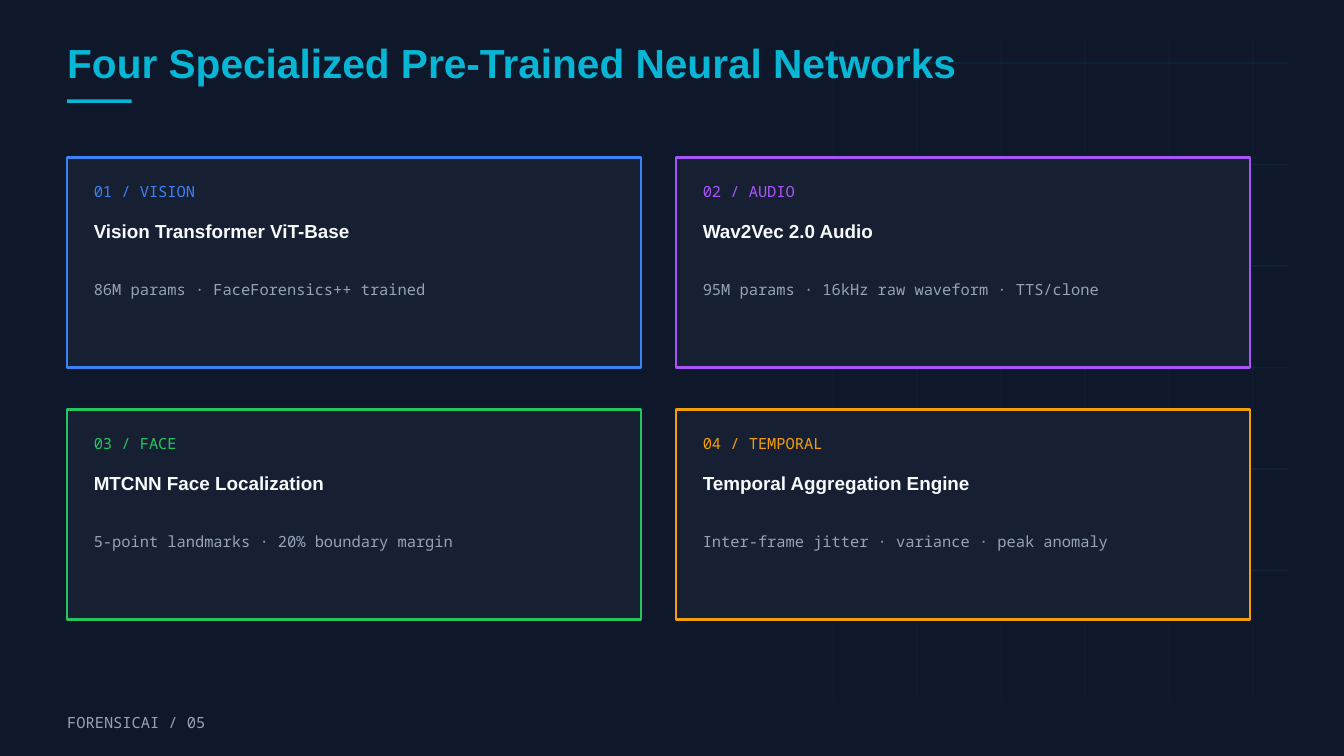
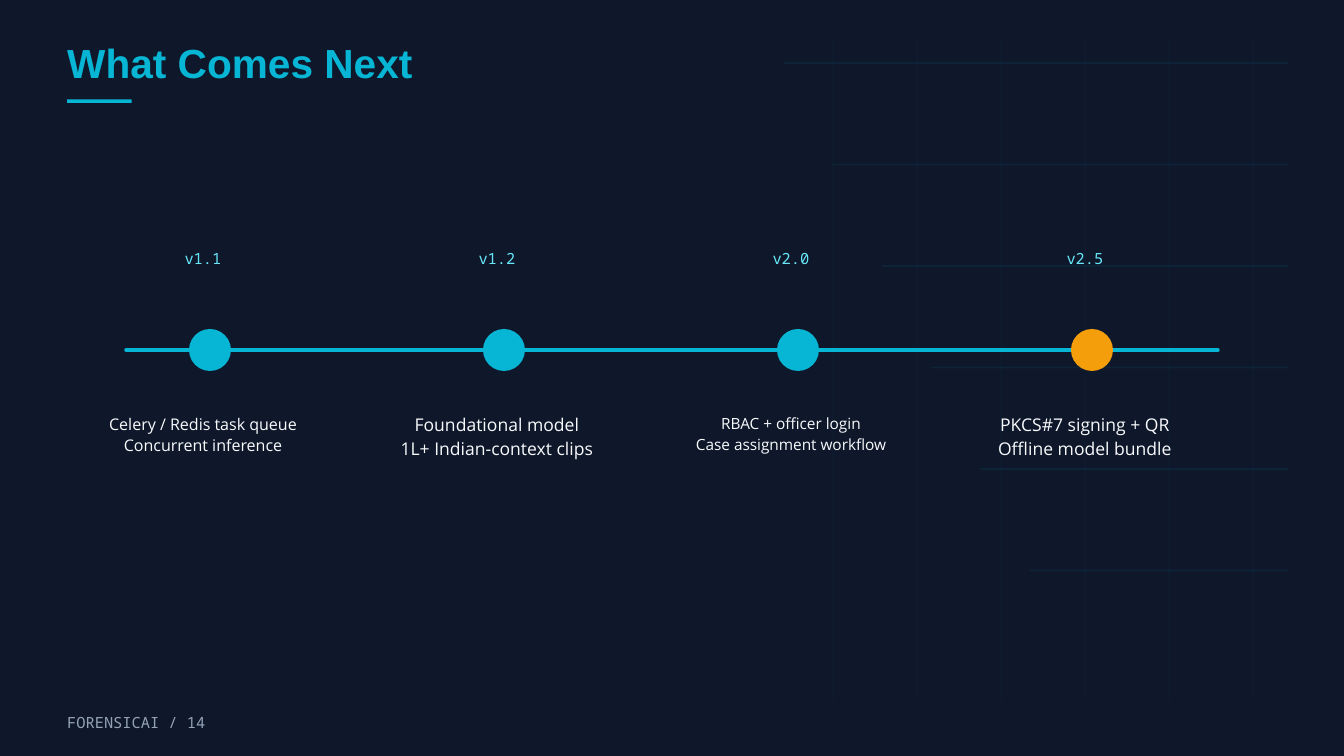
"""Build two dark slides: a grid of model cards and a release timeline."""
from dataclasses import dataclass

from lxml import etree
from pptx import Presentation
from pptx.dml.color import RGBColor as RGB
from pptx.enum.shapes import MSO_CONNECTOR as CONN, MSO_SHAPE as SHAPE
from pptx.enum.text import MSO_ANCHOR as ANCHOR, MSO_AUTO_SIZE as AUTO, PP_ALIGN as ALIGN
from pptx.oxml.ns import qn
from pptx.util import Pt

PX = 9525


@dataclass(frozen=True)
class Theme:
    back: str = "0F172A"
    card: str = "172033"
    cyan: str = "06B6D4"
    pale_cyan: str = "67E8F9"
    blue: str = "3B82F6"
    purple: str = "A855F7"
    green: str = "22C55E"
    amber: str = "F59E0B"
    white: str = "F8FAFC"
    gray: str = "94A3B8"
    head: str = "Arial"
    mono: str = "Noto Sans Mono"
    body: str = "Open Sans"
    title: tuple = (43.5, 47)
    name: tuple = (20.2, 23.3)
    large: tuple = (18.8, 25.3)
    medium: tuple = (17.2, 23.3)
    small: tuple = (16.5, 22.3)


T = Theme()


def write(sp, text, at, font=T.mono, size=T.small, color=T.gray, bold=False, align=ALIGN.LEFT):
    sp.left, sp.top, sp.width, sp.height = (v * PX for v in at)
    tf = sp.text_frame
    tf.word_wrap, tf.auto_size, tf.vertical_anchor = True, AUTO.NONE, ANCHOR.TOP
    tf.margin_left = tf.margin_top = tf.margin_right = tf.margin_bottom = 0
    tf.text = text
    points, leading = size
    for p in tf.paragraphs:
        p.alignment, p.line_spacing = align, Pt(leading)
        p.space_before = p.space_after = Pt(0)
        for r in p.runs:
            r.font.name, r.font.size, r.font.bold = font, Pt(points), bold
            r.font.color.rgb = RGB.from_string(color)


def draw_line(s, ends, width, alpha=100, cap="flat"):
    ln = s.shapes.add_connector(CONN.STRAIGHT, *(v * PX for v in ends))
    ln.line.width = Pt(width)
    ln.line.color.rgb = RGB.from_string(T.cyan)
    ln.line._ln.set("cap", cap)
    if alpha < 100:
        rgb = ln.line._ln.find(".//" + qn("a:srgbClr"))
        etree.SubElement(rgb, qn("a:alpha")).set("val", str(alpha * 1000))
    etree.SubElement(ln._element.spPr, qn("a:effectLst"))


prs = Presentation()
prs.slide_width, prs.slide_height = 1920 * PX, 1080 * PX
back = prs.slide_master.background.fill
back.solid()
back.fore_color.rgb = RGB.from_string(T.back)

slides = []
for title, number in [("Four Specialized Pre-Trained Neural Networks", "05"), ("What Comes Next", "14")]:
    s = prs.slides.add_slide(prs.slide_layouts[5])
    for i in range(6):
        draw_line(s, (1120 + 70 * i, 90 + 145 * i, 1840, 90 + 145 * i), 2, alpha=8)
        draw_line(s, (1190 + 120 * i, 55, 1190 + 120 * i, 1000), 1, alpha=8)
    write(s.shapes.title, title, (96, 61, 1728, 72), font=T.head, size=T.title, color=T.cyan, bold=True)
    bar = s.shapes.add_shape(SHAPE.RECTANGLE, *(v * PX for v in (96, 142, 92, 5)))
    bar.shadow.inherit = False
    bar.fill.solid()
    bar.fill.fore_color.rgb = RGB.from_string(T.cyan)
    bar.line.fill.background()
    write(s.shapes.add_textbox(0, 0, 0, 0), f"FORENSICAI / {number}", (96, 1015, 500, 29))
    slides.append(s)
models, roadmap = slides

cards = [
    ("01 / VISION", "Vision Transformer ViT-Base", "86M params · FaceForensics++ trained", T.blue),
    ("02 / AUDIO", "Wav2Vec 2.0 Audio", "95M params · 16kHz raw waveform · TTS/clone", T.purple),
    ("03 / FACE", "MTCNN Face Localization", "5-point landmarks · 20% boundary margin", T.green),
    ("04 / TEMPORAL", "Temporal Aggregation Engine", "Inter-frame jitter · variance · peak anomaly", T.amber),
]
for i, (tag, name, detail, color) in enumerate(cards):
    x, y = 96 + 870 * (i % 2), 225 + 360 * (i // 2)
    card = models.shapes.add_shape(SHAPE.RECTANGLE, *(v * PX for v in (x, y, 820, 300)))
    card.shadow.inherit = False
    card.fill.solid()
    card.fill.fore_color.rgb = RGB.from_string(T.card)
    card.line.color.rgb = RGB.from_string(color)
    card.line.width = Pt(2.25)
    for text, dy, height, style in [
        (tag, 32, 28, dict(color=color)),
        (name, 90, 35, dict(font=T.head, size=T.name, color=T.white, bold=True)),
        (detail, 172, 28, {}),
    ]:
        write(models.shapes.add_textbox(0, 0, 0, 0), text, (x + 38, y + dy, 700, height), **style)

draw_line(roadmap, (180, 500, 1740, 500), 3.75, cap="rnd")
releases = [
    ("v1.1", "Celery / Redis task queue\nConcurrent inference", T.medium, T.cyan),
    ("v1.2", "Foundational model\n1L+ Indian-context clips", T.large, T.cyan),
    ("v2.0", "RBAC + officer login\nCase assignment workflow", T.small, T.cyan),
    ("v2.5", "PKCS#7 signing + QR\nOffline model bundle", T.large, T.amber),
]
for i, (version, note, size, color) in enumerate(releases):
    x = 150 + 420 * i
    write(roadmap.shapes.add_textbox(0, 0, 0, 0), version, (x, 352, 280, 28),
          color=T.pale_cyan, align=ALIGN.CENTER)
    dot = roadmap.shapes.add_shape(SHAPE.OVAL, *(v * PX for v in (x + 120, 470, 60, 60)))
    dot.shadow.inherit = False
    dot.fill.solid()
    dot.fill.fore_color.rgb = RGB.from_string(color)
    dot.line.fill.background()
    write(roadmap.shapes.add_textbox(0, 0, 0, 0), note, (x, 588, 280, 64),
          font=T.body, size=size, color=T.white, align=ALIGN.CENTER)

prs.save("out.pptx")
